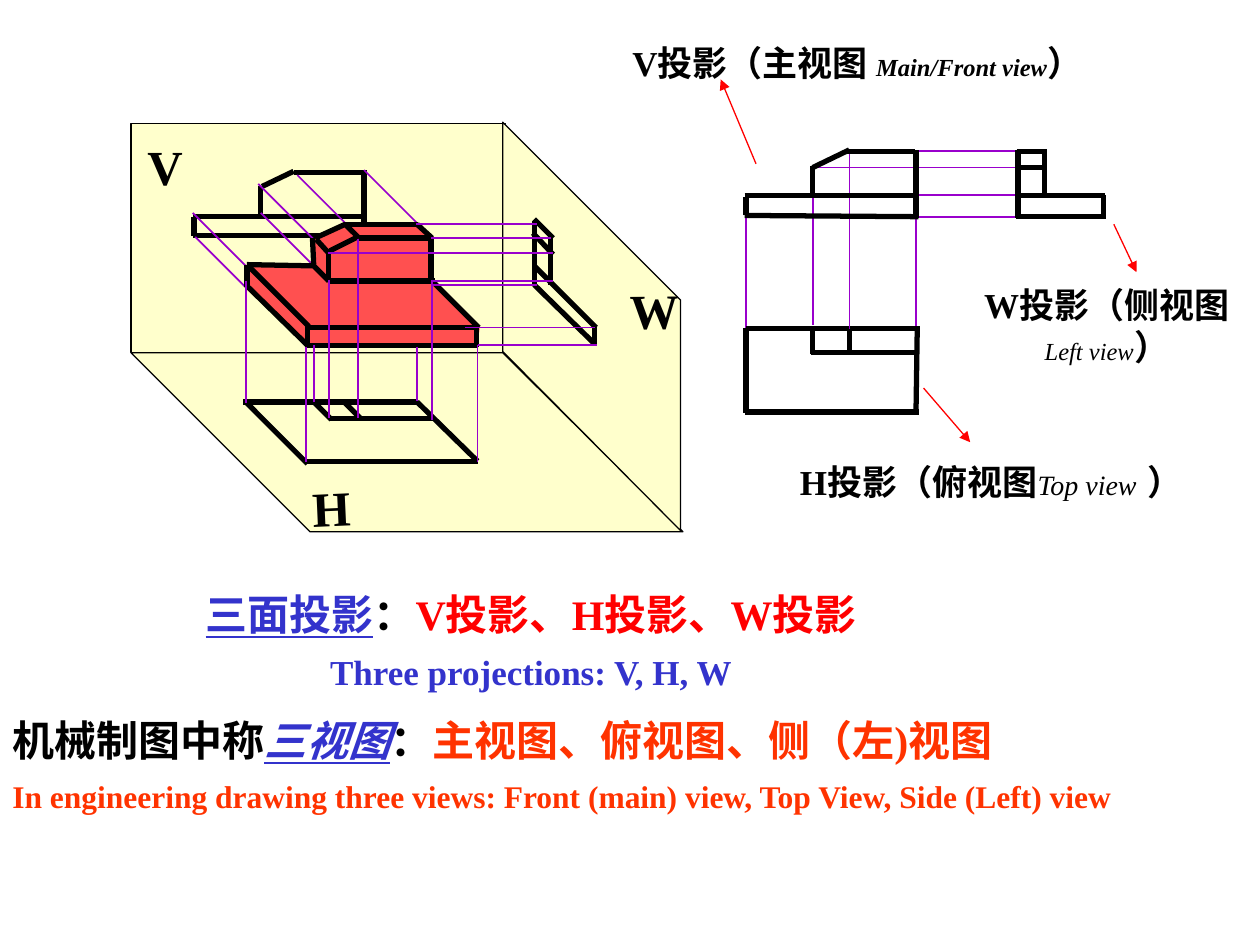
import pptx
import pptx.util
import pptx.dml.color
import pptx.enum.shapes
import pptx.enum.text
import lxml.etree
from pptx.oxml.ns import qn

Inches = pptx.util.Inches
COLORS = {"black": "000000", "plane": "FFFFCC", "solid": "FF5050", "projector": "9900CC",
          "blue": "3333CC", "red": "FF0000", "orange": "FF3300"}

deck = pptx.Presentation()
deck.slide_width, deck.slide_height = Inches(10), Inches(7.5)
slide = deck.slides.add_slide(deck.slide_layouts[6])


def draw_lines(color, width, segments, arrow=False):
    for x1, y1, x2, y2 in segments:
        line = slide.shapes.add_connector(pptx.enum.shapes.MSO_CONNECTOR.STRAIGHT,
                                          Inches(x1), Inches(y1), Inches(x2), Inches(y2))
        line.line.color.rgb = pptx.dml.color.RGBColor.from_string(COLORS[color])
        line.line.width = pptx.util.Pt(width)
        if arrow:
            lxml.etree.SubElement(line.line._get_or_add_ln(), qn("a:tailEnd"), type="triangle")
        lxml.etree.SubElement(line._element.spPr, qn("a:effectLst"))


def write_text(place, paragraphs, centred=True, wrap=True):
    box = slide.shapes.add_textbox(*[Inches(length) for length in place])
    frame = box.text_frame
    frame.word_wrap = wrap
    for index, (size, bold, runs) in enumerate(paragraphs):
        paragraph = frame.paragraphs[0] if index == 0 else frame.add_paragraph()
        if index:
            paragraph.space_before = pptx.util.Pt(7)
        if centred:
            paragraph.alignment = pptx.enum.text.PP_ALIGN.CENTER
        paragraph.font.name = "Times New Roman"
        paragraph.font.size = pptx.util.Pt(size)
        paragraph.font.bold = bold
        for text, color, changes in runs:
            run = paragraph.add_run()
            run.text = text
            run.font.color.rgb = pptx.dml.color.RGBColor.from_string(COLORS[color])
            for name, value in changes.items():
                setattr(run.font, name, value)
    return box


faces = [
    ("plane", "black", 0.75, [(1.04, 2.8), (3.99, 2.8), (5.42, 4.22), (2.46, 4.22)]),
    ("plane", "black", 0.75, [(1.04, 0.98), (4.01, 0.98), (4.01, 2.8), (1.04, 2.8)]),
    ("plane", "black", 0.75, [(3.99, 2.79), (5.4, 4.21), (5.4, 2.38), (3.99, 0.97)]),
    ("solid", "solid", 1, [(1.95, 2.11), (2.47, 2.11), (2.5, 1.9), (2.72, 1.79), (3.29, 1.79),
                           (3.42, 1.89), (3.42, 2.23), (3.8, 2.61), (3.78, 2.74),
                           (2.45, 2.74), (1.95, 2.28)]),
]
v_view_edges = [
    (2.9, 1.87, 1.53, 1.87), (1.54, 1.87, 1.54, 1.72), (2.89, 1.88, 2.89, 1.35),
    (2.87, 1.37, 2.33, 1.37), (2.07, 1.72, 2.07, 1.48), (2.08, 1.48, 2.33, 1.36),
    (1.53, 1.72, 2.89, 1.72)]
v_projectors = [
    (1.94, 2.27, 1.55, 1.88), (1.95, 2.11, 1.53, 1.69), (2.75, 1.78, 2.36, 1.39),
    (3.34, 1.8, 2.89, 1.35), (2.49, 2.11, 2.07, 1.69), (2.49, 1.9, 2.05, 1.46)]
solid_edges = [
    (2.85, 1.89, 2.74, 1.78), (2.44, 2.59, 2.44, 2.74), (1.96, 2.28, 1.96, 2.1),
    (2.62, 2.23, 3.45, 2.23), (3.42, 2.24, 3.42, 1.89), (2.84, 1.88, 2.62, 1.99),
    (2.74, 1.78, 2.5, 1.89), (2.73, 1.78, 3.32, 1.78), (2.85, 1.89, 3.44, 1.89),
    (2.61, 1.98, 2.61, 2.24), (2.48, 1.89, 2.49, 2.1), (1.95, 2.26, 2.44, 2.74),
    (2.43, 2.6, 3.78, 2.6), (3.78, 2.6, 3.78, 2.75), (2.42, 2.74, 3.79, 2.74),
    (1.97, 2.11, 2.45, 2.59), (3.8, 2.6, 3.42, 2.22), (2.61, 2.23, 2.47, 2.09),
    (1.96, 2.1, 2.48, 2.11), (3.43, 1.89, 3.31, 1.78), (2.61, 2.01, 2.51, 1.9)]
h_view_edges = [
    (2.43, 3.66, 3.79, 3.66), (1.93, 3.19, 3.32, 3.19), (1.95, 3.19, 2.44, 3.68),
    (3.31, 3.19, 3.79, 3.66), (2.49, 3.19, 2.63, 3.33), (2.61, 3.32, 3.45, 3.32),
    (2.73, 3.19, 2.86, 3.32)]
h_projectors = [(x, top, x, bottom) for x, top, bottom in [
    (1.95, 2.23, 3.2), (2.43, 2.75, 3.67), (3.79, 2.74, 3.67), (3.31, 2.75, 3.18),
    (2.49, 2.74, 3.19), (2.61, 2.22, 3.32), (2.84, 1.9, 3.32), (3.43, 2.22, 3.33)]]
w_view_edges = [
    (4.24, 2.26, 4.72, 2.73), (4.24, 2.11, 4.73, 2.6), (4.24, 1.75, 4.24, 2.26),
    (4.37, 1.88, 4.37, 2.26), (4.72, 2.59, 4.72, 2.74), (4.24, 1.74, 4.39, 1.89),
    (4.39, 2.02, 4.23, 1.85)]
w_projectors = [(left, y, right, y) for y, left, right in [
    (2.74, 3.79, 4.74), (2.26, 3.44, 4.26), (2.6, 3.69, 4.72), (2.01, 2.6, 4.39),
    (1.78, 3.3, 4.26), (1.89, 3.42, 4.37), (2.23, 3.43, 4.39)]]
alignment_lines = [
    (5.92, 1.7, 5.92, 2.61), (7.27, 1.68, 7.27, 2.61), (6.45, 1.52, 6.45, 2.58),
    (7.27, 1.2, 8.26, 1.2), (6.46, 1.33, 8.26, 1.33),
    (7.29, 1.55, 8.07, 1.55), (7.29, 1.72, 8.06, 1.72)]
top_view = [
    (6.44, 2.8, 7.28, 2.8), (5.91, 3.27, 7.29, 3.27), (5.92, 2.61, 7.3, 2.61),
    (5.92, 2.6, 5.92, 3.28), (7.28, 2.6, 7.27, 3.28), (6.45, 2.81, 6.45, 2.61),
    (6.74, 2.6, 6.74, 2.81)]
left_view = [
    (8.08, 1.58, 8.08, 1.19), (8.07, 1.2, 8.31, 1.2), (8.07, 1.33, 8.31, 1.33),
    (8.29, 1.19, 8.29, 1.55), (8.76, 1.73, 8.76, 1.55), (8.07, 1.55, 8.77, 1.55),
    (8.06, 1.72, 8.78, 1.72), (8.08, 1.55, 8.08, 1.73)]
front_view = [
    (7.27, 1.55, 7.27, 1.19), (7.26, 1.2, 6.72, 1.2), (6.45, 1.56, 6.45, 1.32),
    (6.45, 1.33, 6.74, 1.19), (7.29, 1.72, 5.91, 1.71), (5.92, 1.71, 5.92, 1.56),
    (5.91, 1.55, 7.28, 1.55), (7.27, 1.54, 7.27, 1.73)]

for fill, outline, width, corners in faces:
    if fill == "solid":
        draw_lines("black", 3, v_view_edges)
        draw_lines("projector", 1, v_projectors)
    points = [(Inches(x), Inches(y)) for x, y in corners]
    builder = slide.shapes.build_freeform(*points[0])
    builder.add_line_segments(points[1:], close=True)
    face = builder.convert_to_shape()
    face.shadow.inherit = False
    face.fill.solid()
    face.fill.fore_color.rgb = pptx.dml.color.RGBColor.from_string(COLORS[fill])
    face.line.color.rgb = pptx.dml.color.RGBColor.from_string(COLORS[outline])
    face.line.width = pptx.util.Pt(width)

for color, width, segments in [
        ("black", 3, solid_edges), ("black", 3, h_view_edges), ("projector", 1, h_projectors),
        ("black", 3, w_view_edges), ("projector", 1, w_projectors),
        ("projector", 1, alignment_lines), ("black", 3, top_view), ("black", 3, left_view),
        ("projector", 0.75, [(6.74, 1.18, 6.74, 2.61)]), ("black", 3, front_view)]:
    draw_lines(color, width, segments)
draw_lines("red", 0.75, [(6, 1.3, 5.72, 0.63), (7.33, 3.08, 7.7, 3.51),
                         (8.84, 1.78, 9.02, 2.16)], arrow=True)

for letter, left, top, width, rotation, wrap in [
        ("V", 1.07, 1.03, 0.48, 0, False), ("W", 4.9, 2.17, 0.48, 359.5, True),
        ("H", 2.38, 3.74, 0.5, 357.4, False)]:
    plane_label = write_text((left, top, width, 0.57), [(28, True, [(letter, "black", {})])],
                             wrap=wrap)
    plane_label.rotation = rotation
    plane_label.text_frame.vertical_anchor = pptx.enum.text.MSO_ANCHOR.MIDDLE

small = {"size": pptx.util.Pt(14), "italic": True}
write_text((0, 5.62, 10, 0.95), [
    (24, True, [("机械制图中称", "black", {}),
                ("三视图", "blue", {"italic": True, "underline": True}),
                ("：", "black", {}), ("主视图、俯视图、侧（左)视图", "orange", {})]),
    (18, True, [("In engineering drawing three views: Front (main) view, Top View, "
                 "Side (Left) view", "orange", {})])], centred=False)
write_text((0.9, 4.62, 6.63, 1), [
    (24, True, [("三面投影", "blue", {"underline": True}), ("：", "black", {}),
                ("V投影、H投影、W投影", "red", {})]),
    (20, True, [("Three projections: V, H, W", "blue", {})])])
write_text((4.67, 0.28, 4.27, 0.43), [
    (20, True, [("V投影（主视图 ", "black", {}), ("Main/Front view", "black", small),
                ("）", "black", {})])])
write_text((6.24, 3.55, 3.25, 0.5), [
    (20, None, [("H投影（俯视图", "black", {"bold": True}),
                ("Top view", "black", {"size": pptx.util.Pt(16), "italic": True}),
                (" ", "black", {"size": pptx.util.Pt(24)}), ("）", "black", {"bold": True})])])
write_text((7.57, 2.2, 2.43, 0.77), [
    (20, None, [("W投影（侧视图", "black", {"bold": True}), ("Left view", "black", small),
                ("）", "black", {"bold": True})])])

deck.save("out.pptx")
